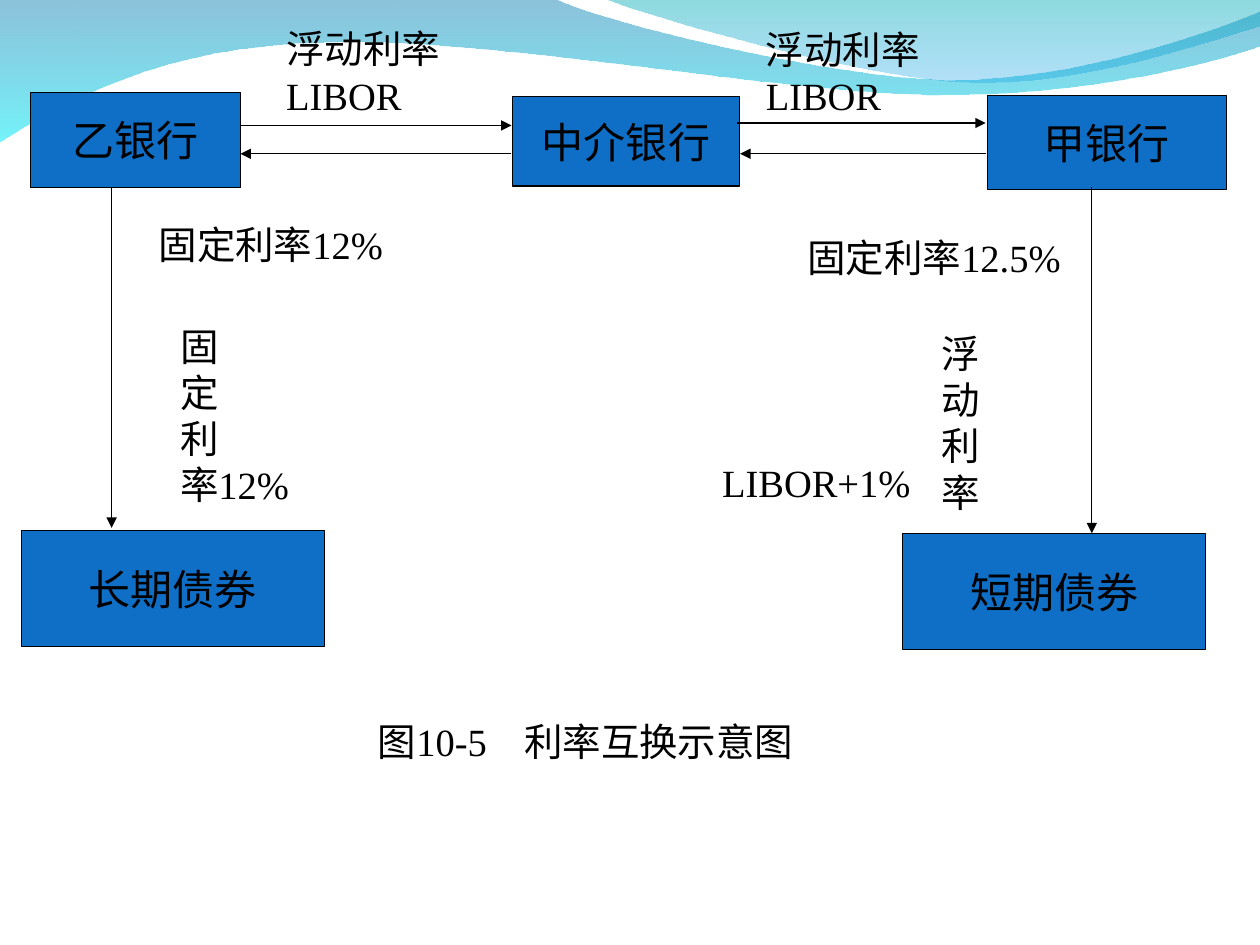
from lxml.etree import SubElement
from pptx import Presentation
from pptx.dml.color import RGBColor
from pptx.enum.shapes import MSO_CONNECTOR, MSO_SHAPE
from pptx.enum.text import MSO_ANCHOR, PP_ALIGN
from pptx.oxml.ns import qn
from pptx.util import Cm, Pt

FONT = "Times New Roman"
COLORS = {
    "ink": "000000",
    "box": "0F6FC6",
    "wave_blue": "0079AF",
    "wave_cyan": "00EBF8",
    "crest_teal": "00ADB6",
    "crest_blue": "009BE5",
}

# Outlines in cm: a pair is a straight step, six numbers a Bezier curve.
WAVE = [
    (0, -0.03), (11.18, -0.03),
    (12.09, 0.43, 16.87, 1.6, 19.25, 1.6),
    (21.67, 1.6, 24.33, 0.66, 25.4, 0.23),
    (25.43, 0.91),
    (24.97, 1.12, 22.1, 1.93, 18.95, 1.91),
    (15.8, 1.91, 9.7, 0.71, 6.53, 0.86),
    (3.28, 0.89, 1.17, 2.11, -0.03, 2.87),
    (0, -0.03),
]
CREST = [
    (12.17, -0.03),
    (12.93, 0.28, 17.32, 1.57, 19.53, 1.65),
    (21.74, 1.75, 24.41, 0.81, 25.4, 0.53),
    (25.4, 0), (12.17, -0.03),
]

BOXES = [
    ("乙银行", 0.61, 1.87, 4.24, 1.91),
    ("中介银行", 10.33, 1.95, 4.58, 1.8),
    ("甲银行", 19.91, 1.92, 4.81, 1.9),
    ("长期债券", 0.43, 10.69, 6.11, 2.34),
    ("短期债券", 18.2, 10.76, 6.1, 2.34),
]
LABELS = [
    (["浮动利率", "LIBOR"], 5.52, 0.39, 4.45, 2.13),
    (["浮动利率", "LIBOR"], 15.19, 0.4, 4.45, 2.13),
    (["固定利率12%"], 2.95, 4.34, 5.74, 1.19),
    (["固定利率12.5%"], 16.03, 4.59, 5.74, 2.13),
    (["固", "定", "利", "率12%"], 3.38, 6.38, 2.92, 3.99),
    (["浮", "动", "利", "率"], 18.74, 6.53, 1.3, 3.99),
    (["LIBOR+1%"], 14.31, 9.12, 4.65, 1.19),
    (["图10-5\t利率互换示意图"], 7.37, 14.35, 14.86, 1.19),
]
ARROWS = [
    (4.85, 2.53, 10.31, 2.53),
    (14.86, 2.48, 19.87, 2.48),
    (22.01, 3.76, 22.01, 10.75),
    (2.25, 3.77, 2.25, 10.64),
    (10.31, 3.1, 4.85, 3.1),
    (19.87, 3.1, 14.92, 3.1),
]
CAPTION_TAB = Cm(2.95)


def rgb(name):
    return RGBColor.from_string(COLORS[name])


def bend(sp, outline):
    """Make the curved steps of an outline real Bezier segments."""
    segments = list(sp.element.spPr.iter(qn("a:lnTo")))
    for segment, step in zip(segments, outline[1:]):
        if len(step) == 2:
            continue
        segment.tag = qn("a:cubicBezTo")
        for old in list(segment):
            segment.remove(old)
        for x, y in zip(step[::2], step[1::2]):
            SubElement(segment, qn("a:pt"), x=str(Cm(x) - sp.left), y=str(Cm(y) - sp.top))


def add_wave(s, outline, stops):
    """Draw an outline with a top-to-bottom fill of (colour, opacity %) stops."""
    points = [(Cm(step[-2]), Cm(step[-1])) for step in outline]
    builder = s.shapes.build_freeform(*points[0])
    builder.add_line_segments(points[1:], close=True)
    sp = builder.convert_to_shape()
    bend(sp, outline)
    sp.shadow.inherit = False
    sp.line.fill.background()
    sp.fill.gradient()
    sp.fill.gradient_angle = 270
    for stop, position, (color, _) in zip(sp.fill.gradient_stops, (0, 1), stops):
        stop.position = position
        stop.color.rgb = rgb(color)
    for clr, (_, opacity) in zip(sp.element.spPr.iter(qn("a:srgbClr")), stops):
        SubElement(clr, qn("a:alpha")).set("val", str(opacity * 1000))


def add_run(p, text, size):
    r = p.add_run()
    r.text = text
    r.font.name = FONT
    r.font.size = Pt(size)
    r.font.color.rgb = rgb("ink")


def add_box(s, text, *frame):
    sp = s.shapes.add_shape(MSO_SHAPE.RECTANGLE, *map(Cm, frame))
    sp.shadow.inherit = False
    sp.fill.solid()
    sp.fill.fore_color.rgb = rgb("box")
    sp.line.color.rgb = rgb("ink")
    sp.line.width = Pt(0.75)
    tf = sp.text_frame
    tf.vertical_anchor = MSO_ANCHOR.MIDDLE
    p = tf.paragraphs[0]
    p.alignment = PP_ALIGN.CENTER
    add_run(p, text, 24)


def add_label(s, lines, *frame):
    tf = s.shapes.add_textbox(*map(Cm, frame)).text_frame
    tf.word_wrap = True
    for i, line in enumerate(lines):
        p = tf.add_paragraph() if i else tf.paragraphs[0]
        if "\t" in line:
            tabs = SubElement(p._p.get_or_add_pPr(), qn("a:tabLst"))
            SubElement(tabs, qn("a:tab"), pos=str(CAPTION_TAB), algn="l")
        add_run(p, line, 22)


def add_arrow(s, *ends):
    connector = s.shapes.add_connector(MSO_CONNECTOR.STRAIGHT, *map(Cm, ends))
    connector.line.color.rgb = rgb("ink")
    connector.line.width = Pt(0.75)
    spPr = connector.element.spPr
    SubElement(spPr.find(qn("a:ln")), qn("a:tailEnd"), type="triangle")
    SubElement(spPr, qn("a:effectLst"))


def main():
    prs = Presentation()
    prs.slide_width, prs.slide_height = Cm(25.4), Cm(19.05)
    s = prs.slides.add_slide(prs.slide_layouts[6])
    add_wave(s, WAVE, [("wave_blue", 45), ("wave_cyan", 55)])
    add_wave(s, CREST, [("crest_teal", 45), ("crest_blue", 30)])
    for box in BOXES:
        add_box(s, *box)
    for label in LABELS:
        add_label(s, *label)
    for arrow in ARROWS:
        add_arrow(s, *arrow)
    prs.save("out.pptx")


if __name__ == "__main__":
    main()
